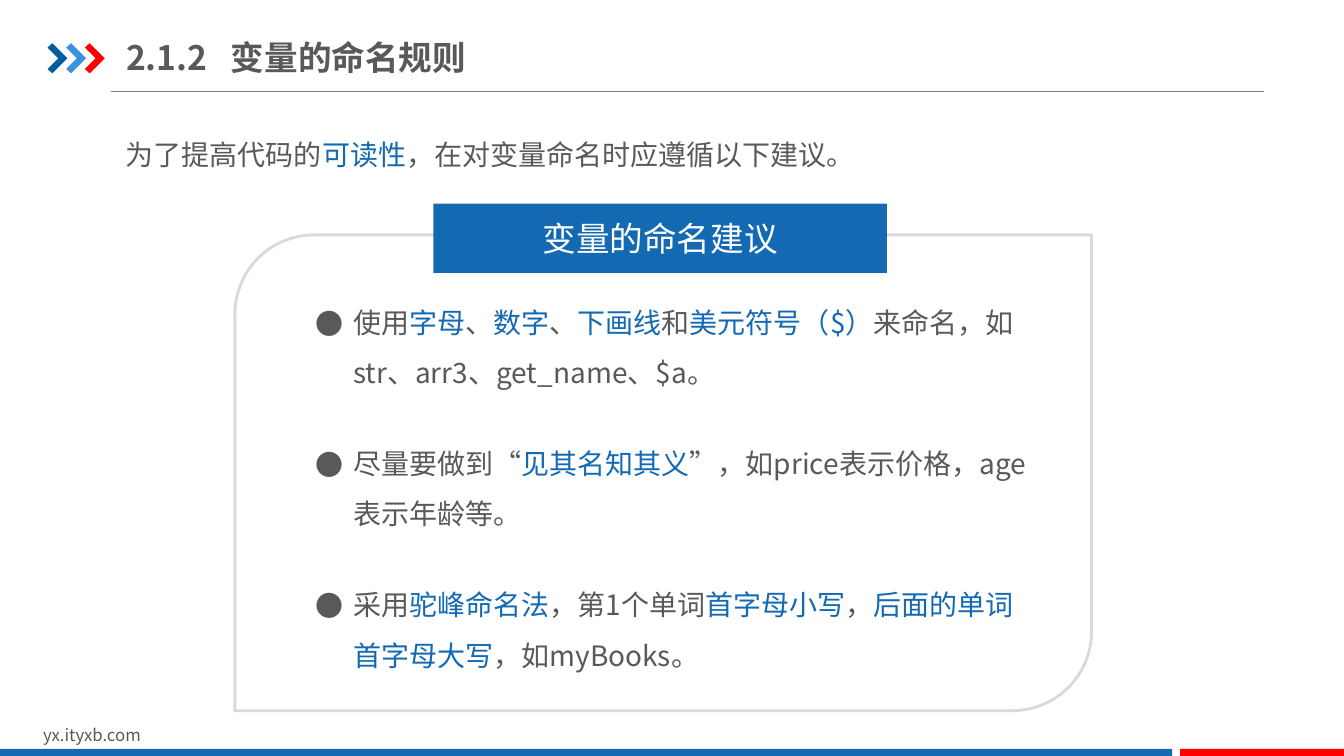
from lxml.etree import SubElement
from pptx import Presentation
from pptx.dml.color import RGBColor
from pptx.enum.shapes import MSO_CONNECTOR, MSO_SHAPE
from pptx.enum.text import MSO_ANCHOR, MSO_AUTO_SIZE, PP_ALIGN
from pptx.oxml.ns import qn
from pptx.util import Cm, Pt

FONT = "Noto Sans CJK SC"
GREY, BLUE, ACCENT, RED, WHITE = "595959", "1369B2", "1369B3", "FF0000", "FFFFFF"


def color(value):
    return RGBColor.from_string(value)


def write(paragraph, text, size, base=GREY, bold=False):
    """Add runs; every second part between bars takes the accent colour."""
    for index, part in enumerate(text.split("|")):
        run = paragraph.add_run()
        run.text = part
        for name, value in {"name": FONT, "size": Pt(size), "bold": bold}.items():
            setattr(run.font, name, value)
        run.font.color.rgb = color(ACCENT if index % 2 else base)
        SubElement(run.font._element, qn("a:ea"), typeface=FONT)


prs = Presentation()
prs.slide_width, prs.slide_height = Cm(33.87), Cm(19.05)
slide = prs.slides.add_slide(prs.slide_layouts[6])
shapes = slide.shapes

# Header rule
header_rule = shapes.add_connector(
    MSO_CONNECTOR.STRAIGHT, Cm(2.79), Cm(2.31), Cm(31.85), Cm(2.31))
header_rule.line.color.rgb = color("808080")
header_rule.line.width = Pt(0.75)
SubElement(header_rule._element.spPr, qn("a:effectLst"))

# Three chevrons before the title
chevron_outline = [(0, 0.11), (0.12, 0), (0.5, 0.38), (0.12, 0.76), (0, 0.65), (0.27, 0.38)]
for index, fill in enumerate(["005DA2", "3992DB", RED]):
    corners = [(Cm(1.2 + 0.47 * index + x), Cm(1.09 + y)) for x, y in chevron_outline]
    outline = shapes.build_freeform(*corners[0])
    outline.add_line_segments(corners[1:], close=True)
    chevron = outline.convert_to_shape()
    chevron.shadow.inherit = False
    chevron.fill.solid()
    chevron.fill.fore_color.rgb = color(fill)
    chevron.line.fill.background()

# Footer bars
for left, width, fill in [(0, 29.54, BLUE), (29.74, 4.13, RED)]:
    footer_bar = shapes.add_shape(
        MSO_SHAPE.RECTANGLE, Cm(left), Cm(18.87), Cm(width), Cm(0.22))
    footer_bar.shadow.inherit = False
    footer_bar.fill.solid()
    footer_bar.fill.fore_color.rgb = color(fill)
    footer_bar.line.fill.background()

# Footer address
address = shapes.add_textbox(Cm(0.84), Cm(18.14), Cm(8.08), Cm(0.76)).text_frame
address.word_wrap = True
write(address.paragraphs[0], "yx.ityxb.com", 12)

# Title, with a tab stop between number and name
title = shapes.add_textbox(Cm(3.18), Cm(0.74), Cm(14.55), Cm(1.4)).text_frame
title_format = {
    "word_wrap": True, "vertical_anchor": MSO_ANCHOR.MIDDLE,
    "margin_left": 0, "margin_right": 0, "margin_top": Cm(0.18), "margin_bottom": Cm(0.18),
}
for name, value in title_format.items():
    setattr(title, name, value)
tab_stops = SubElement(title.paragraphs[0]._p.get_or_add_pPr(), qn("a:tabLst"))
SubElement(tab_stops, qn("a:tab"), pos=str(Cm(2.64)), algn="l")
write(title.paragraphs[0], "2.1.2\t变量的命名规则", 24, bold=True)

# Introduction
intro = shapes.add_textbox(Cm(2.92), Cm(2.92), Cm(28.19), Cm(1.4)).text_frame
intro.word_wrap = True
intro.auto_size = MSO_AUTO_SIZE.SHAPE_TO_FIT_TEXT
intro.paragraphs[0].line_spacing = 1.5
write(intro.paragraphs[0], "为了提高代码的|可读性|，在对变量命名时应遵循以下建议。", 20)

# Frame around the advice
frame = shapes.add_shape(
    MSO_SHAPE.ROUND_2_DIAG_RECTANGLE, Cm(5.92), Cm(5.92), Cm(21.59), Cm(11.99))
frame.shadow.inherit = False
frame.fill.background()
frame.line.color.rgb = color("D9D9D9")
frame.line.width = Pt(2)

# Heading on the frame
heading = shapes.add_shape(MSO_SHAPE.RECTANGLE, Cm(10.92), Cm(5.13), Cm(11.43), Cm(1.75))
heading.shadow.inherit = False
heading.fill.solid()
heading.fill.fore_color.rgb = color(BLUE)
heading.line.fill.background()
heading.text_frame.vertical_anchor = MSO_ANCHOR.MIDDLE
heading.text_frame.paragraphs[0].alignment = PP_ALIGN.CENTER
write(heading.text_frame.paragraphs[0], "变量的命名建议", 24, WHITE)

# Bulleted advice
advice_items = [
    "使用|字母|、|数字|、|下画线|和|美元符号（$）|来命名，如str、arr3、get_name、$a。",
    "尽量要做到“|见其名知其义|”，如price表示价格，age表示年龄等。",
    "采用|驼峰命名法|，第1个单词|首字母小写|，|后面的单词首字母大写|，如myBooks。",
]
advice = shapes.add_textbox(Cm(7.7), Cm(7.14), Cm(18.64), Cm(10.01)).text_frame
advice.word_wrap = True
advice.auto_size = MSO_AUTO_SIZE.SHAPE_TO_FIT_TEXT
for index, item in enumerate(advice_items):
    paragraph = advice.add_paragraph() if index else advice.paragraphs[0]
    properties = paragraph._p.get_or_add_pPr()
    properties.set("marL", str(Cm(0.95)))
    properties.set("indent", str(-Cm(0.95)))
    SubElement(properties, qn("a:buFont"), typeface=FONT)
    SubElement(properties, qn("a:buChar"), char="●")
    paragraph.line_spacing = 1.5
    paragraph.space_before = Pt(29 if index else 0)
    write(paragraph, item, 20)

prs.save("out.pptx")
